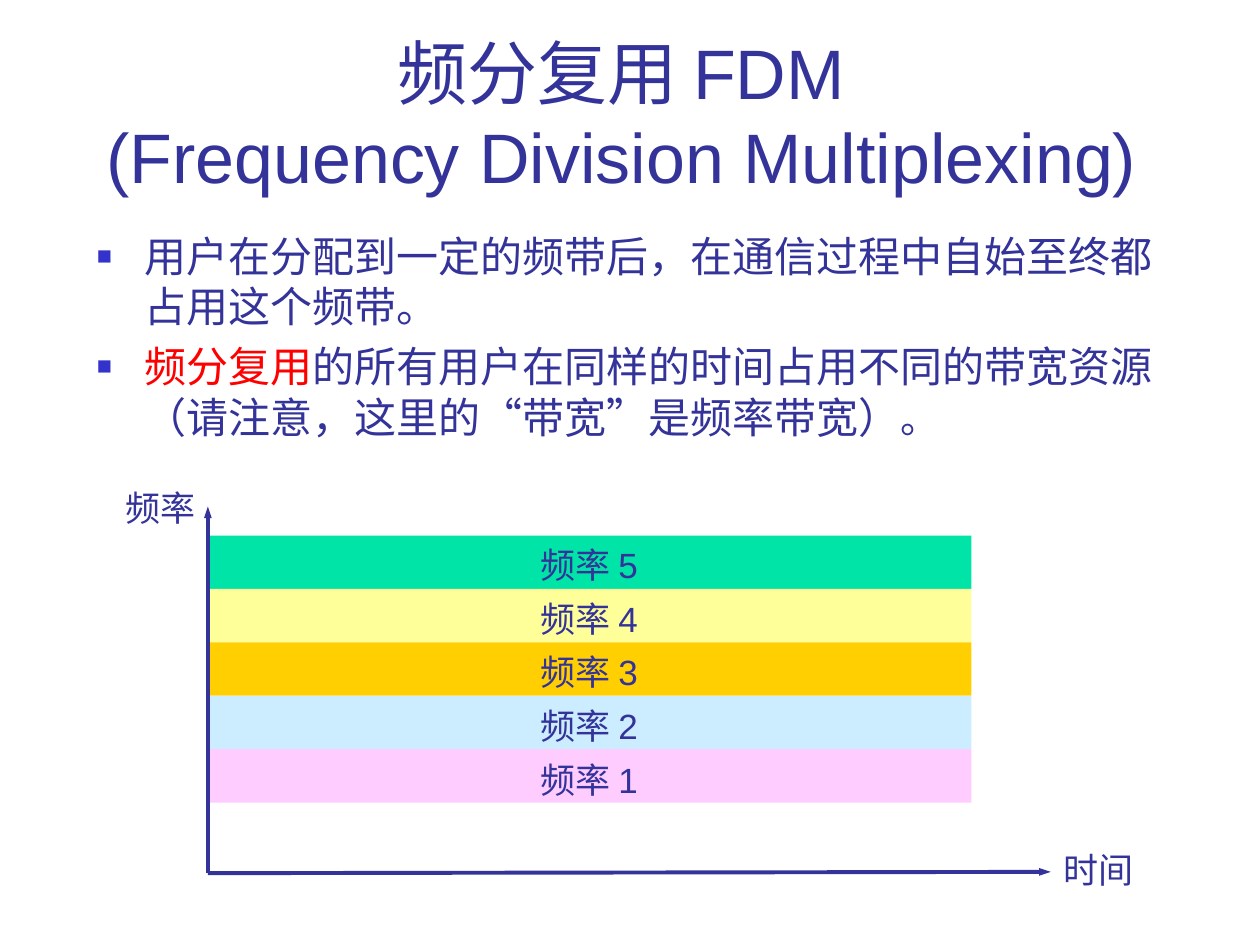
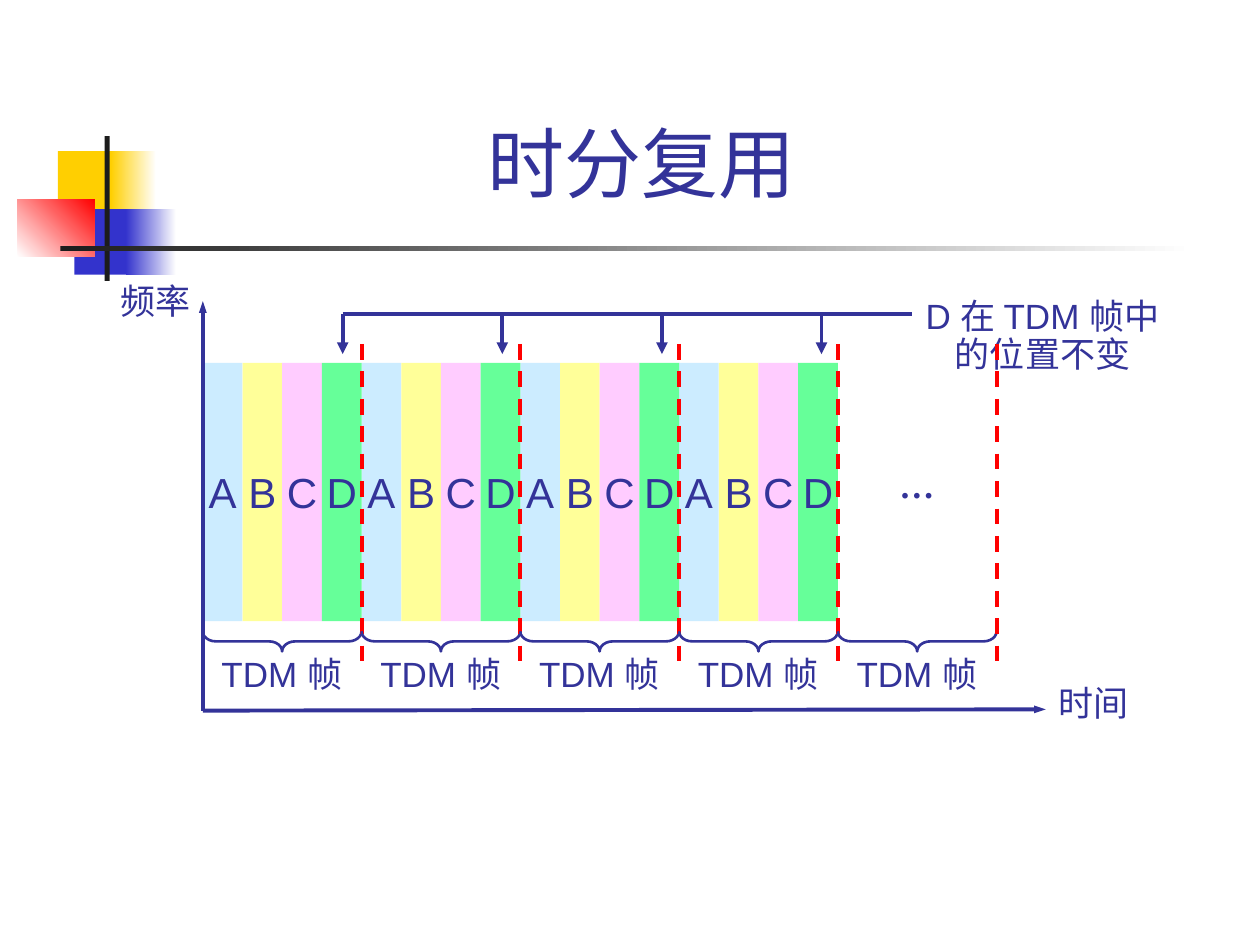
from dataclasses import dataclass
from typing import NamedTuple

import pptx
import pptx.dml.color
import pptx.enum.dml
import pptx.enum.shapes
import pptx.enum.text
import pptx.oxml
import pptx.oxml.ns
import pptx.util
from lxml import etree
from pptx.util import Inches

ALIGN = pptx.enum.text.PP_ALIGN
ANCHOR = pptx.enum.text.MSO_ANCHOR
SHAPES = pptx.enum.shapes.MSO_SHAPE

NAVY = "333399"
BLUE = "3333CC"
RED = "FF0000"
GOLD = "FFCF01"
YELLOW = "FFFF99"
SKY = "CCECFF"
PINK = "FFCCFF"
TEAL = "00E4A8"
GREEN = "66FF99"
BLACK = "1C1C1C"
WHITE = "FFFFFF"
LATIN, SERIF = "Arial", "Times New Roman"
SLIDE_WIDTH, SLIDE_HEIGHT = 10, 7.5


class Box(NamedTuple):
    left: float
    top: float
    width: float
    height: float


class Run(NamedTuple):
    text: str
    color: str = NAVY
    size: float | None = None


@dataclass
class Axes:
    left: float
    bottom: float
    top: float
    frequency_label_top: float
    time_label_top: float


@dataclass
class Block:
    box: Box
    start: str
    end: str | None = None
    angle: float = 0


MOTIF = [
    Block(Box(0.46, 1.2, 0.48, 0.52), GOLD),
    Block(Box(0.88, 1.2, 0.36, 0.52), GOLD, WHITE),
    Block(Box(0.59, 1.66, 0.46, 0.52), BLUE),
    Block(Box(1, 1.66, 0.4, 0.52), BLUE, WHITE),
    Block(Box(0.14, 1.58, 0.61, 0.46), WHITE, RED, 45),
    Block(Box(0.83, 1.08, 0.04, 1.15), BLACK),
    Block(Box(0.48, 1.95, 9, 0.04), BLACK, WHITE),
]
BULLETS = [
    [Run("用户在分配到一定的频带后，在通信过程中自始至终都占用这个频带。")],
    [
        Run("频分复用", RED),
        Run("的所有用户在同样的时间占用不同的带宽资源（请注意，这里的“带宽”是频率带宽）"),
        Run("。", size=22),
    ],
]


def rgb(color: str) -> pptx.dml.color.RGBColor:
    return pptx.dml.color.RGBColor.from_string(color)


def inches(box: Box) -> list[int]:
    return [Inches(length) for length in box]


def add_bullet(paragraph) -> None:
    properties = paragraph._p.get_or_add_pPr()
    properties.set("marL", str(Inches(0.38)))
    properties.set("indent", str(-Inches(0.38)))
    namespace = pptx.oxml.ns.nsdecls("a")
    for markup in (
        f'<a:buClr {namespace}><a:srgbClr val="{BLUE}"/></a:buClr>',
        f'<a:buSzPct {namespace} val="60000"/>',
        f'<a:buFont {namespace} typeface="{LATIN}"/>',
        f'<a:buChar {namespace} char="■"/>',
    ):
        properties.append(pptx.oxml.parse_xml(markup))


def write_text(shape, paragraphs: list[list[Run]], *, size: float = 20,
               font: str = LATIN, bold: bool = False, align=ALIGN.LEFT,
               anchor=ANCHOR.TOP, wrap: bool = False, spacing: float = 1,
               bullets: bool = False, gap: float = 0) -> None:
    """Fill a shape with paragraphs; gap is the space between them in points."""
    frame = shape.text_frame
    frame.word_wrap = wrap
    frame.vertical_anchor = anchor
    for index, runs in enumerate(paragraphs):
        paragraph = frame.add_paragraph() if index else frame.paragraphs[0]
        paragraph.alignment = align
        if bullets:
            add_bullet(paragraph)
        if spacing != 1:
            paragraph.line_spacing = spacing
        if index and gap:
            paragraph.space_before = pptx.util.Pt(gap)
        for item in runs:
            for part_index, part in enumerate(item.text.split("\n")):
                if part_index:
                    paragraph.add_line_break()
                run = paragraph.add_run()
                run.text = part
                run.font.name = font
                run.font.size = pptx.util.Pt(item.size or size)
                run.font.bold = bold
                run.font.color.rgb = rgb(item.color)


def add_text(slide, box: Box, paragraphs: list[list[Run]], **text_format):
    shape = slide.shapes.add_textbox(*inches(box))
    write_text(shape, paragraphs, **text_format)
    return shape


def add_label(slide, box: Box, *lines: str, **text_format) -> None:
    """Add a short text whose box grows with it."""
    text_format = {"spacing": 0.9} | text_format
    shape = add_text(slide, box, [[Run(line)] for line in lines], **text_format)
    shape.text_frame.auto_size = pptx.enum.text.MSO_AUTO_SIZE.SHAPE_TO_FIT_TEXT


def add_title(slide, box: Box, text: str, size: float) -> None:
    add_text(slide, box, [[Run(text)]], size=size, align=ALIGN.CENTER,
             anchor=ANCHOR.BOTTOM, wrap=True)


def add_block(slide, block: Block):
    shape = slide.shapes.add_shape(SHAPES.RECTANGLE, *inches(block.box))
    shape.shadow.inherit = False
    shape.line.fill.background()
    if block.end is None:
        shape.fill.solid()
        shape.fill.fore_color.rgb = rgb(block.start)
    else:
        shape.fill.gradient()
        shape.fill.gradient_angle = block.angle
        for stop, color in zip(shape.fill.gradient_stops, (block.start, block.end)):
            stop.color.rgb = rgb(color)
    return shape


def add_line(slide, start: tuple[float, float], end: tuple[float, float], *,
             color: str = NAVY, head_width: str | None = None,
             dashed: bool = False) -> None:
    connector = slide.shapes.add_connector(
        pptx.enum.shapes.MSO_CONNECTOR.STRAIGHT,
        *[Inches(length) for length in (*start, *end)])
    connector.line.width = pptx.util.Pt(2.25)
    connector.line.color.rgb = rgb(color)
    if dashed:
        connector.line.dash_style = pptx.enum.dml.MSO_LINE.DASH
    if head_width:
        etree.SubElement(connector.line._get_or_add_ln(),
                         pptx.oxml.ns.qn("a:tailEnd"),
                         type="triangle", w=head_width, len="med")
    etree.SubElement(connector._element.spPr, pptx.oxml.ns.qn("a:effectLst"))


def add_axes(slide, axes: Axes) -> None:
    origin = (axes.left, axes.bottom)
    add_line(slide, origin, (axes.left + 6.69, axes.bottom - 0.01), head_width="sm")
    add_line(slide, origin, (axes.left, axes.top), head_width="sm")
    add_label(slide, Box(axes.left - 0.75, axes.frequency_label_top, 0.8, 0.4),
              "频率", font=SERIF)
    add_label(slide, Box(axes.left + 6.69, axes.time_label_top, 0.8, 0.4),
              "时间", font=SERIF)


def add_frame_brace(slide, left: float, width: float) -> None:
    """Add a brace under one frame, its tip pointing down."""
    depth, top = 0.16, 5.01
    center_x, center_y = left + width / 2, top + depth / 2
    unrotated = Box(center_x - depth / 2, center_y - width / 2, depth, width)
    brace = slide.shapes.add_shape(SHAPES.LEFT_BRACE, *inches(unrotated))
    brace.rotation = 270
    brace.adjustments[0] = 0.65
    brace.shadow.inherit = False
    brace.fill.background()
    brace.line.color.rgb = rgb(NAVY)
    brace.line.width = pptx.util.Pt(1.5)


def build_frequency_slide(slide) -> None:
    add_block(slide, Block(Box(0, 0, SLIDE_WIDTH, SLIDE_HEIGHT), WHITE))
    add_title(slide, Box(0.67, 0.12, 8.52, 1.5),
              "频分复用 FDM\n(Frequency Division Multiplexing) ", 40)
    add_text(slide, Box(0.67, 1.78, 8.66, 1.97), BULLETS, size=24, wrap=True,
             bullets=True, gap=5.5)

    band_colors = [TEAL, YELLOW, GOLD, SKY, PINK]
    band_height = 2.12 / len(band_colors)
    for index, color in enumerate(band_colors):
        add_block(slide, Block(
            Box(1.65, 4.25 + index * band_height, 6.06, band_height), color))
    for index in range(len(band_colors)):
        add_label(slide, Box(4.19, 4.3 + index * 1.71 / 4, 1.11, 0.4),
                  f"频率 {len(band_colors) - index}")
    add_axes(slide, Axes(1.65, 6.93, 4.02, 3.85, 6.72))


def build_time_slide(slide) -> None:
    for block in MOTIF:
        add_block(slide, block)
    add_title(slide, Box(1.26, 0.23, 7.8, 1.47), "时分复用 ", 44)

    axes = Axes(1.61, 5.64, 2.39, 2.21, 5.4)
    frame_width, frame_count, filled_count = 1.26, 5, 4
    frame_lefts = [axes.left + index * frame_width for index in range(frame_count)]
    users = {"A": SKY, "B": YELLOW, "C": PINK, "D": GREEN}
    slot_width = frame_width / len(users)
    for index, (user, color) in enumerate(users.items()):
        for frame_left in frame_lefts[:filled_count]:
            slot = add_block(slide, Block(
                Box(frame_left + index * slot_width, 2.88, slot_width, 2.05), color))
            write_text(slot, [[Run(user)]], size=24, align=ALIGN.CENTER,
                       anchor=ANCHOR.MIDDLE)

    add_label(slide, Box(7.11, 2.33, 2.33, 0.7), "D 在 TDM 帧中", "的位置不变",
              align=ALIGN.CENTER)
    pointer_left, pointer_top = 2.72, 2.49
    add_line(slide, (pointer_left, pointer_top), (7.24, pointer_top))
    for index in range(filled_count):
        x = pointer_left + index * 3.8 / 3
        add_line(slide, (x, pointer_top), (x, 2.81), head_width="med")

    add_label(slide, Box(7.04, 3.63, 0.48, 0.43), "…", font=SERIF, bold=True,
              spacing=1)
    add_axes(slide, axes)
    for frame_left in frame_lefts:
        add_label(slide, Box(frame_left + 0.05, 5.17, 1.26, 0.4), "TDM 帧")
        add_frame_brace(slide, frame_left, frame_width)
        frame_right = frame_left + frame_width
        add_line(slide, (frame_right, 2.73), (frame_right, 5.32), color=RED,
                 dashed=True)


def main() -> None:
    presentation = pptx.Presentation()
    presentation.slide_width = Inches(SLIDE_WIDTH)
    presentation.slide_height = Inches(SLIDE_HEIGHT)
    blank_layout = presentation.slide_layouts[6]
    for build_slide in (build_frequency_slide, build_time_slide):
        build_slide(presentation.slides.add_slide(blank_layout))
    presentation.save("out.pptx")


if __name__ == "__main__":
    main()
